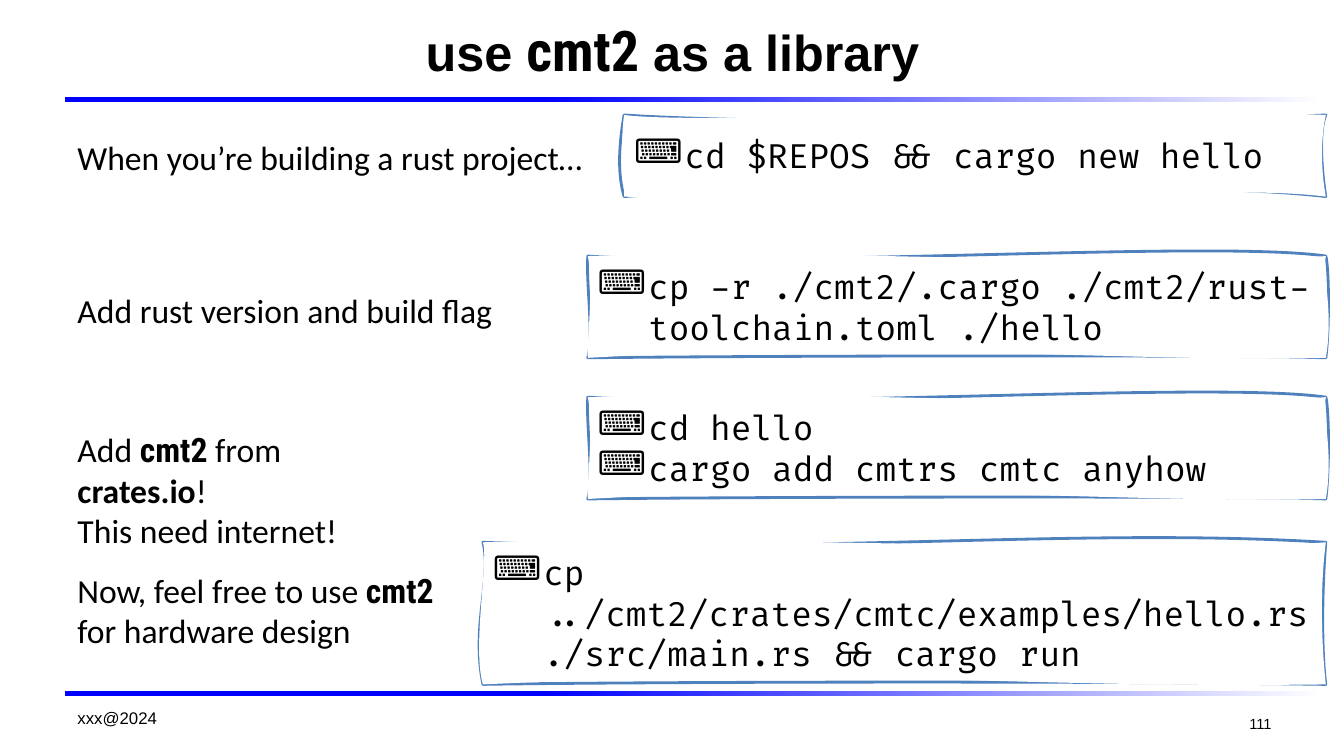
from lxml import etree
from pptx import Presentation
from pptx import util as u
from pptx.dml.color import RGBColor
from pptx.enum import shapes, text
from pptx.oxml.ns import qn

COLOURS = {"ink": "000000", "paper": "FFFFFF", "rule": "0000FF", "sketch": "4F81BD"}

# Hand-drawn outlines. Each has a stroked and a filled contour; a contour lists
# top, right, bottom and left sides as two control points each:
# (fraction of the box along the side, inches off the side).
WIDE = (
    (((.16, .08), (.70, .10)), ((.19, -.07), (.69, -.04)),
     ((.83, -.14), (.27, -.14)), ((.74, -.06), (.43, -.06))),
    (((.10, .10), (.68, -.09)), ((.23, -.04), (.59, -.06)),
     ((.82, -.15), (.48, .17)), ((.68, 0), (.35, -.04))),
)
MEDIUM = (
    (((.27, .12), (.85, -.16)), ((.11, .03), (.67, .04)),
     ((.87, -.03), (.20, -.02)), ((.79, .06), (.24, -.02))),
    (((.38, -.08), (.74, .14)), ((.18, -.04), (.53, .08)),
     ((.76, .05), (.41, -.17)), ((.84, -.01), (.29, .06))),
)
TALL = (
    (((.40, .12), (.71, -.15)), ((.45, -.05), (.85, -.03)),
     ((.67, -.04), (.13, -.02)), ((.59, -.12), (.25, .09))),
    (((.36, -.08), (.79, .14)), ((.39, -.07), (.80, -.03)),
     ((.60, .04), (.46, -.18)), ((.74, -.11), (.12, .06))),
)

# Explanations: box, paragraphs of (words, font, bold)
NOTES = [
    ((.67, 1.31, 5.26, .5), [[("When you’re building a rust project…", "Calibri", False)]]),
    ((.67, 2.83, 4.35, .5), [[("Add rust version and build flag", "Calibri", False)]]),
    ((.67, 4.21, 3.55, .91), [
        [("Add ", "Calibri", False), ("cmt2", "Roboto Condensed", True),
         (" from ", "Calibri", False), ("crates.io", "Calibri", True), ("!", "Calibri", False)],
        [("This need internet!", "Calibri", False)]]),
    ((.67, 5.6, 3.8, .91), [
        [("Now, feel free to use ", "Calibri", False), ("cmt2", "Roboto Condensed", True),
         (" for hardware design", "Calibri", False)]]),
]

# Command boxes: box, outline, vertical inset, commands
COMMANDS = [
    ((6.19, 1.14, 6.96, .81), WIDE, .2, ["cd $REPOS && cargo new hello"]),
    ((5.83, 2.54, 7.32, 1.01), MEDIUM, .1,
     ["cp -r ./cmt2/.cargo ./cmt2/rust-toolchain.toml ./hello"]),
    ((5.83, 3.94, 7.32, 1.01), MEDIUM, .1, ["cd hello", "cargo add cmtrs cmtc anyhow"]),
    ((4.79, 5.38, 8.36, 1.41), TALL, .1,
     ["cp ../cmt2/crates/cmtc/examples/hello.rs ./src/main.rs && cargo run"]),
]


def rgb(name):
    return RGBColor.from_string(COLOURS[name])


def inches(box):
    return [u.Inches(value) for value in box]


def add_span(para, words, font, size, bold=False):
    span = para.add_run()
    span.text = words
    span.font.name, span.font.size, span.font.bold = font, u.Pt(size), bold
    span.font.color.rgb = rgb("ink")


def paragraphs(frame, count):
    return [frame.paragraphs[0]] + [frame.add_paragraph() for _ in range(count - 1)]


def add_title(page, box):
    title = page.shapes.title
    title.left, title.top, title.width, title.height = inches(box)
    frame = title.text_frame
    frame.vertical_anchor = text.MSO_ANCHOR.MIDDLE
    para = frame.paragraphs[0]
    para.alignment = text.PP_ALIGN.CENTER
    add_span(para, "use ", "Arial", 36, True)
    add_span(para, "cmt2", "Roboto Condensed", 40, True)
    add_span(para, " as a library", "Arial", 36, True)


def add_rule(page, box):
    bar = page.shapes.add_shape(shapes.MSO_SHAPE.RECTANGLE, *inches(box))
    bar.shadow.inherit = False
    bar.line.fill.background()
    bar.fill.gradient()
    bar.fill.gradient_angle = 0
    for stop, position, name in zip(bar.fill.gradient_stops, (.38, 1), ("rule", "paper")):
        stop.position = position
        stop.color.rgb = rgb(name)


def add_footer(page, box, words, size, align):
    frame = page.shapes.add_textbox(*inches(box)).text_frame
    frame.word_wrap = True
    frame.vertical_anchor = text.MSO_ANCHOR.MIDDLE
    frame.paragraphs[0].alignment = align
    add_span(frame.paragraphs[0], words, "Arial", size)


def add_note(page, box, content):
    frame = page.shapes.add_textbox(*inches(box)).text_frame
    frame.word_wrap = True
    frame.auto_size = text.MSO_AUTO_SIZE.SHAPE_TO_FIT_TEXT
    for para, spans in zip(paragraphs(frame, len(content)), content):
        for words, font, bold in spans:
            add_span(para, words, font, 24, bold)


def add_point(parent, x, y):
    etree.SubElement(parent, qn("a:pt"), x=str(u.Inches(x)), y=str(u.Inches(y)))


def add_contour(contours, width, height, sides, hidden):
    """Add one closed curve, with its fill or its stroke switched off."""
    contour = etree.SubElement(contours, qn("a:path"), w=str(u.Inches(width)),
                               h=str(u.Inches(height)), **hidden)
    add_point(etree.SubElement(contour, qn("a:moveTo")), 0, 0)
    corners = [(width, 0), (width, height), (0, height), (0, 0)]
    edges = [0, width, height, 0]
    for number, (controls, corner, edge) in enumerate(zip(sides, corners, edges)):
        curve = etree.SubElement(contour, qn("a:cubicBezTo"))
        for along, off in controls:
            if number % 2 == 0:
                add_point(curve, along * width, edge + off)
            else:
                add_point(curve, edge + off, along * height)
        add_point(curve, *corner)
    etree.SubElement(contour, qn("a:close"))


def add_command_box(page, box, outline, inset, commands):
    left, top, width, height = inches(box)
    builder = page.shapes.build_freeform(left, top)
    builder.add_line_segments([(left + width, top), (left + width, top + height),
                               (left, top + height)], close=True)
    panel = builder.convert_to_shape()
    panel.shadow.inherit = False
    panel.fill.solid()
    panel.fill.fore_color.rgb = rgb("paper")
    panel.line.color.rgb = rgb("sketch")
    panel.line.width = u.Pt(2)

    # Curved sides: stroke first, then the paper over it
    contours = panel.element.spPr.find(".//" + qn("a:pathLst"))
    for straight in list(contours):
        contours.remove(straight)
    for sides, hidden in zip(outline, ({"fill": "none"}, {"stroke": "0"})):
        add_contour(contours, box[2], box[3], sides, hidden)

    # Commands
    frame = panel.text_frame
    frame.word_wrap = True
    frame.auto_size = text.MSO_AUTO_SIZE.SHAPE_TO_FIT_TEXT
    frame.vertical_anchor = text.MSO_ANCHOR.TOP
    frame.margin_left = frame.margin_right = u.Inches(.1)
    frame.margin_top = frame.margin_bottom = u.Inches(inset)
    for para, command in zip(paragraphs(frame, len(commands)), commands):
        para.alignment = text.PP_ALIGN.LEFT
        props = para._p.get_or_add_pPr()
        props.set("marL", str(u.Inches(.5)))
        props.set("indent", str(u.Inches(-.5)))
        etree.SubElement(props, qn("a:buChar"), char="⌨")
        add_span(para, command, "Fira Code", 24)


def main():
    deck = Presentation()
    deck.slide_width, deck.slide_height = u.Inches(13.33), u.Inches(7.5)
    page = deck.slides.add_slide(deck.slide_layouts[5])
    for top in (.96, 6.86):
        add_rule(page, (.64, top, 12.47, .05))
    add_title(page, (.68, .05, 11.98, .87))
    add_footer(page, (9.6, 6.98, 3.11, .4), "111", 10.5, text.PP_ALIGN.RIGHT)
    add_footer(page, (.67, 6.92, 3.11, .4), "xxx@2024", 12, text.PP_ALIGN.LEFT)
    for note in NOTES:
        add_note(page, *note)
    for command in COMMANDS:
        add_command_box(page, *command)
    deck.save("out.pptx")


if __name__ == "__main__":
    main()
